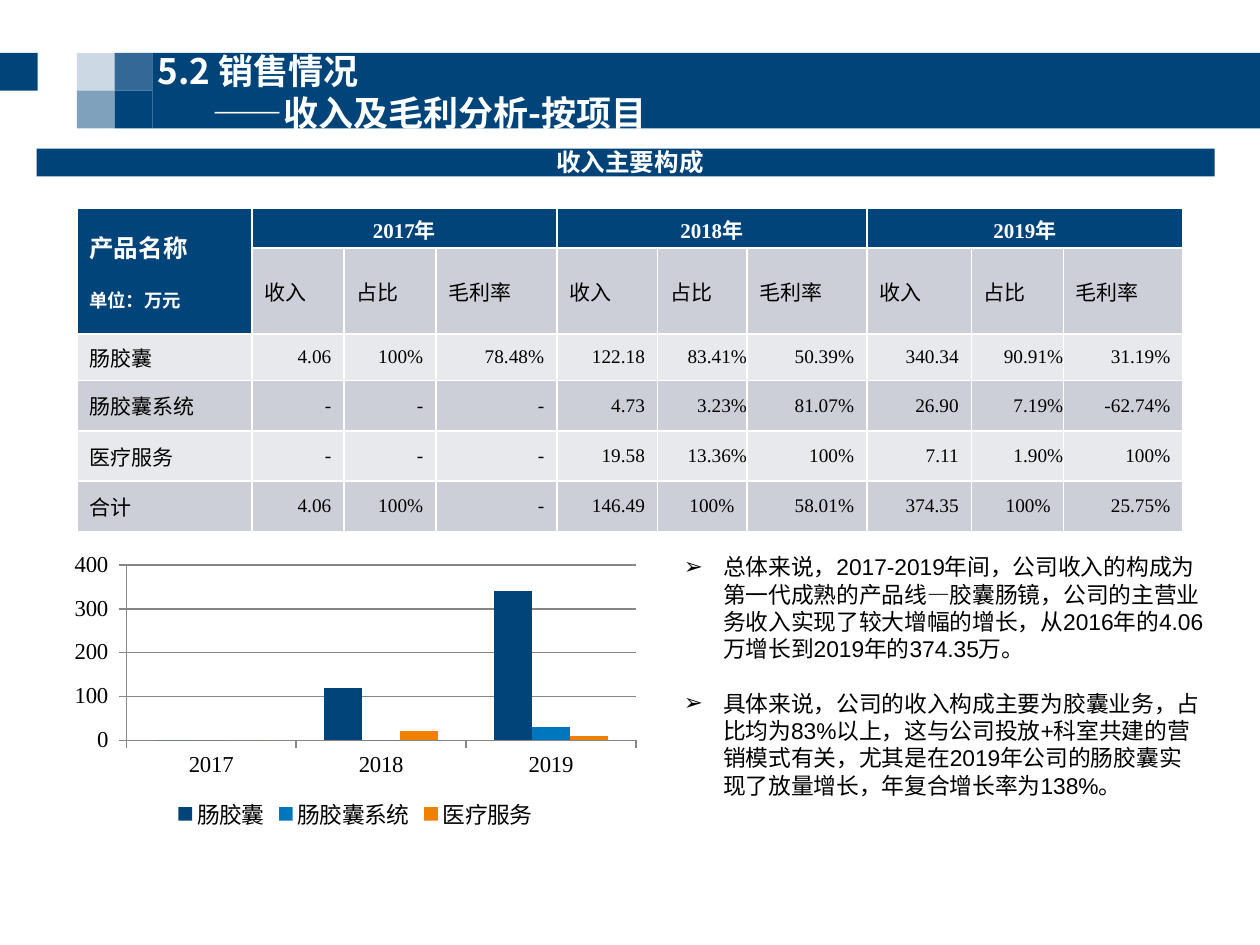
from typing import NamedTuple

from lxml import etree
from pptx import Presentation
from pptx.chart.data import CategoryChartData
from pptx.dml.color import RGBColor
from pptx.enum.chart import XL_CHART_TYPE, XL_LEGEND_POSITION, XL_TICK_MARK
from pptx.enum.shapes import MSO_SHAPE
from pptx.enum.text import MSO_ANCHOR, PP_ALIGN
from pptx.oxml.ns import qn
from pptx.util import Inches, Pt

RECT = MSO_SHAPE.RECTANGLE
COLUMNS = XL_CHART_TYPE.COLUMN_CLUSTERED
BOTTOM = XL_LEGEND_POSITION.BOTTOM
OUTSIDE = XL_TICK_MARK.OUTSIDE
MIDDLE = MSO_ANCHOR.MIDDLE
LEFT, CENTER, RIGHT = PP_ALIGN.LEFT, PP_ALIGN.CENTER, PP_ALIGN.RIGHT

NAVY = RGBColor(0x00, 0x44, 0x7A)
BANNER = RGBColor(0x00, 0x43, 0x79)
BLUE = RGBColor(0x00, 0x76, 0xBF)
ORANGE = RGBColor(0xF0, 0x80, 0x00)
DARK_BAND = RGBColor(0xCC, 0xCF, 0xD7)
LIGHT_BAND = RGBColor(0xE7, 0xE9, 0xEC)
GRID = RGBColor(0x86, 0x86, 0x86)
WHITE = RGBColor(0xFF, 0xFF, 0xFF)
BLACK = RGBColor(0x00, 0x00, 0x00)

SANS, SERIF, BODY = "Noto Sans CJK SC", "Times New Roman", "Arial"


class Block(NamedTuple):
    x: float
    y: float
    w: float
    h: float
    alpha: int = 100


class Series(NamedTuple):
    name: str
    values: tuple
    color: RGBColor


TILE = 0.3
HEADER_BLOCKS = [
    Block(0, 0.42, TILE, TILE),
    Block(0.61, 0.42, TILE, TILE, 20),
    Block(0.61, 0.72, TILE, TILE, 50),
    Block(0.91, 0.42, TILE, TILE, 80),
    Block(0.91, 0.72, TILE, TILE),
    Block(1.21, 0.42, 8.79, 2 * TILE),
]
YEARS = ["2017", "2018", "2019"]
SERIES = [
    Series("肠胶囊", (0, 120, 340), NAVY),
    Series("肠胶囊系统", (0, 0, 30), BLUE),
    Series("医疗服务", (0, 20, 10), ORANGE),
]
MEASURES = ["收入", "占比", "毛利率"]
COL_WIDTHS = [1.39, 0.73, 0.73, 0.96, 0.8, 0.71, 0.95, 0.83, 0.73, 0.95]
ROW_HEIGHTS = [0.32, 0.68, 0.37, 0.4, 0.4, 0.4]
ROWS = [
    ["肠胶囊", "4.06", "100%", "78.48%", "122.18", "83.41%", "50.39%",
     "340.34", "90.91%", "31.19%"],
    ["肠胶囊系统", "-", "-", "-", "4.73", "3.23%", "81.07%",
     "26.90", "7.19%", "-62.74%"],
    ["医疗服务", "-", "-", "-", "19.58", "13.36%", "100%",
     "7.11", "1.90%", "100%"],
    ["合计", "4.06", "100%", "-", "146.49", "100%", "58.01%",
     "374.35", "100%", "25.75%"],
]
TIGHT_COLS = (5, 8)
COMMENTS = [
    "总体来说，2017-2019年间，公司收入的构成为第一代成熟的产品线—胶囊肠镜，公司的主营业务收入"
    "实现了较大增幅的增长，从2016年的4.06万增长到2019年的374.35万。",
    "具体来说，公司的收入构成主要为胶囊业务，占比均为83%以上，这与公司投放+科室共建的营销模式"
    "有关，尤其是在2019年公司的肠胶囊实现了放量增长，年复合增长率为138%。",
]


def write(tf, text: str, *, size: float, font: str, color=BLACK, bold=False,
          align=LEFT, left=0.0, hang=0.0, before=0.0, spacing=None,
          bullet=None, first=True) -> None:
    """Write one paragraph into a text frame."""
    p = tf.paragraphs[0] if first else tf.add_paragraph()
    p.alignment = align
    if before:
        p.space_before = Pt(before)
    if spacing:
        p.line_spacing = spacing
    pPr = p._p.get_or_add_pPr()
    pPr.set("marL", str(Inches(left)))
    pPr.set("indent", str(-Inches(hang)))
    if bullet:
        etree.SubElement(pPr, qn("a:buFont")).set("typeface", BODY)
        etree.SubElement(pPr, qn("a:buChar")).set("char", bullet)
    r = p.add_run()
    r.text = text
    r.font.size, r.font.bold, r.font.name = Pt(size), bold, font
    r.font.color.rgb = color
    ea = etree.SubElement(r._r.get_or_add_rPr(), qn("a:ea"))
    ea.set("typeface", SANS)


def set_margins(obj, left: float, top: float, right: float, bottom: float) -> None:
    obj.margin_left, obj.margin_top = Inches(left), Inches(top)
    obj.margin_right, obj.margin_bottom = Inches(right), Inches(bottom)


def add_block(s, b: Block, color: RGBColor):
    sp = s.shapes.add_shape(RECT, Inches(b.x), Inches(b.y), Inches(b.w), Inches(b.h))
    sp.shadow.inherit = False
    sp.fill.solid()
    sp.fill.fore_color.rgb = color
    sp.line.fill.background()
    if b.alpha < 100:
        clr = sp._element.spPr.find(".//" + qn("a:srgbClr"))
        etree.SubElement(clr, qn("a:alpha")).set("val", str(b.alpha * 1000))
    return sp


def add_text_frame(s, x: float, y: float, w: float, h: float):
    tf = s.shapes.add_textbox(Inches(x), Inches(y), Inches(w), Inches(h)).text_frame
    tf.word_wrap = True
    return tf


def add_chart(s) -> None:
    data = CategoryChartData(number_format="#,##0")
    data.categories = YEARS
    for item in SERIES:
        data.add_series(item.name, item.values)
    chart = s.shapes.add_chart(COLUMNS, Inches(0.5), Inches(4.34), Inches(4.64),
                               Inches(2.29), data).chart
    chart.has_title = False
    chart.font.size, chart.font.name = Pt(13), SERIF
    chart.font.color.rgb = BLACK
    chart.has_legend = True
    chart.legend.position = BOTTOM
    chart.legend.include_in_layout = False
    plot = chart.plots[0]
    plot.gap_width, plot.overlap, plot.vary_by_categories = 150, 0, False
    for ser, item in zip(plot.series, SERIES):
        ser.format.fill.solid()
        ser.format.fill.fore_color.rgb = item.color
    for axis in (chart.category_axis, chart.value_axis):
        axis.major_tick_mark = OUTSIDE
        axis.format.line.color.rgb = GRID
    axis = chart.value_axis
    axis.minimum_scale, axis.maximum_scale, axis.major_unit = 0, 400, 100
    axis.major_gridlines.format.line.color.rgb = GRID
    axis.tick_labels.number_format = r"#,##0_);[Red]\(#,##0\)"
    axis.tick_labels.number_format_is_linked = False


def style_cell(cell, fill: RGBColor) -> None:
    """Give a cell white borders, a fill and a middle anchor."""
    tcPr = cell._tc.get_or_add_tcPr()
    for side in ("lnL", "lnR", "lnT", "lnB"):
        ln = etree.SubElement(tcPr, qn("a:" + side), w=str(Pt(1)))
        solid = etree.SubElement(ln, qn("a:solidFill"))
        etree.SubElement(solid, qn("a:srgbClr"), val=str(WHITE))
    cell.fill.solid()
    cell.fill.fore_color.rgb = fill
    cell.vertical_anchor = MIDDLE


def add_income_table(s) -> None:
    table = s.shapes.add_table(len(ROW_HEIGHTS), len(COL_WIDTHS), Inches(0.61),
                               Inches(1.65), Inches(sum(COL_WIDTHS)),
                               Inches(sum(ROW_HEIGHTS))).table
    for col, width in zip(table.columns, COL_WIDTHS):
        col.width = Inches(width)
    for i, (row, height) in enumerate(zip(table.rows, ROW_HEIGHTS)):
        row.height = Inches(height)
        for j, cell in enumerate(row.cells):
            header = i == 0 or (i == 1 and j == 0)
            style_cell(cell, NAVY if header else DARK_BAND if i % 2 else LIGHT_BAND)

    # Header rows
    head = dict(font=SERIF, color=WHITE, bold=True)
    corner = table.cell(0, 0)
    corner.merge(table.cell(1, 0))
    write(corner.text_frame, "产品名称", size=14, **head)
    write(corner.text_frame, "单位：万元", size=10.5, before=12, first=False, **head)
    for k, year in enumerate(YEARS):
        start = 1 + k * len(MEASURES)
        cell = table.cell(0, start)
        cell.merge(table.cell(0, start + len(MEASURES) - 1))
        write(cell.text_frame, year + "年", size=12, align=CENTER, **head)
        for j, measure in enumerate(MEASURES, start):
            write(table.cell(1, j).text_frame, measure, size=12, font=SERIF)

    # Data rows
    for i, values in enumerate(ROWS, 2):
        for j, value in enumerate(values):
            cell = table.cell(i, j)
            if j in TIGHT_COLS and value != "100%":
                set_margins(cell, 0, 0, 0, 0)
            write(cell.text_frame, value, size=11 if j else 12, font=SERIF,
                  align=RIGHT if j else LEFT)


def main() -> None:
    prs = Presentation()
    prs.slide_width, prs.slide_height = Inches(10), Inches(7.5)
    s = prs.slides.add_slide(prs.slide_layouts[6])

    # Header band
    for block in HEADER_BLOCKS:
        add_block(s, block, NAVY)

    add_chart(s)

    # Section banner
    tf = add_block(s, Block(0.29, 1.18, 9.35, 0.22), BANNER).text_frame
    set_margins(tf, 0.12, 0.05, 0.05, 0.03)
    tf.vertical_anchor = MIDDLE
    write(tf, "收入主要构成", size=14, font=SANS, color=WHITE, bold=True,
          align=CENTER, spacing=0.9)

    # Comments
    tf = add_text_frame(s, 5.33, 4.34, 4.32, 2.07)
    for i, comment in enumerate(COMMENTS):
        write(tf, comment, size=13, font=BODY, left=0.31, hang=0.31, bullet="➢",
              before=15.5 * i, first=i == 0)

    add_income_table(s)

    # Title
    tf = add_text_frame(s, 1.16, 0.35, 8.64, 0.76)
    set_margins(tf, 0.09, 0.04, 0.09, 0.04)
    title = dict(size=20, font=SANS, color=WHITE, bold=True)
    write(tf, "5.2 销售情况", left=0.08, hang=0.08, **title)
    write(tf, "——收入及毛利分析-按项目", left=0.44, first=False, **title)

    prs.save("out.pptx")


if __name__ == "__main__":
    main()
